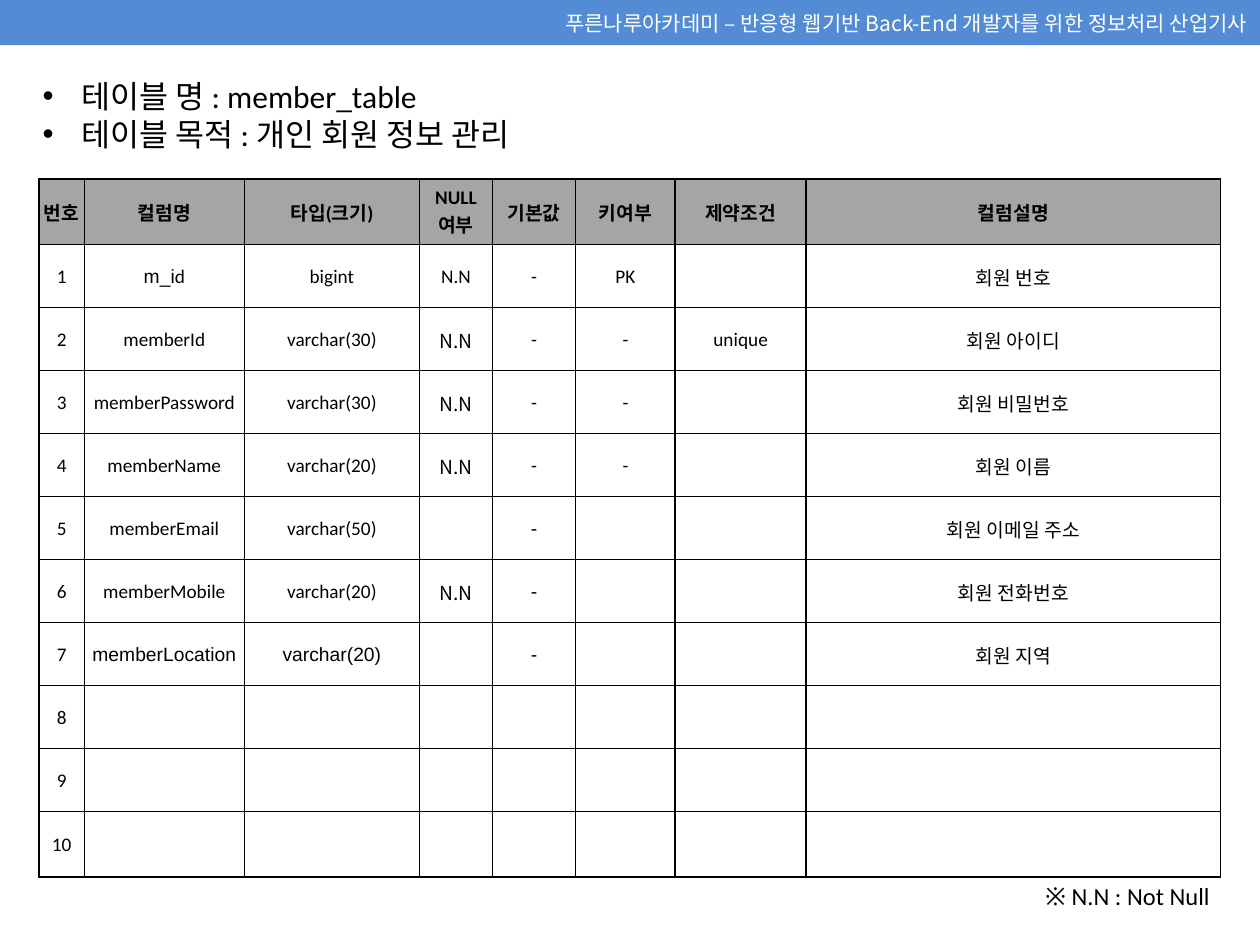
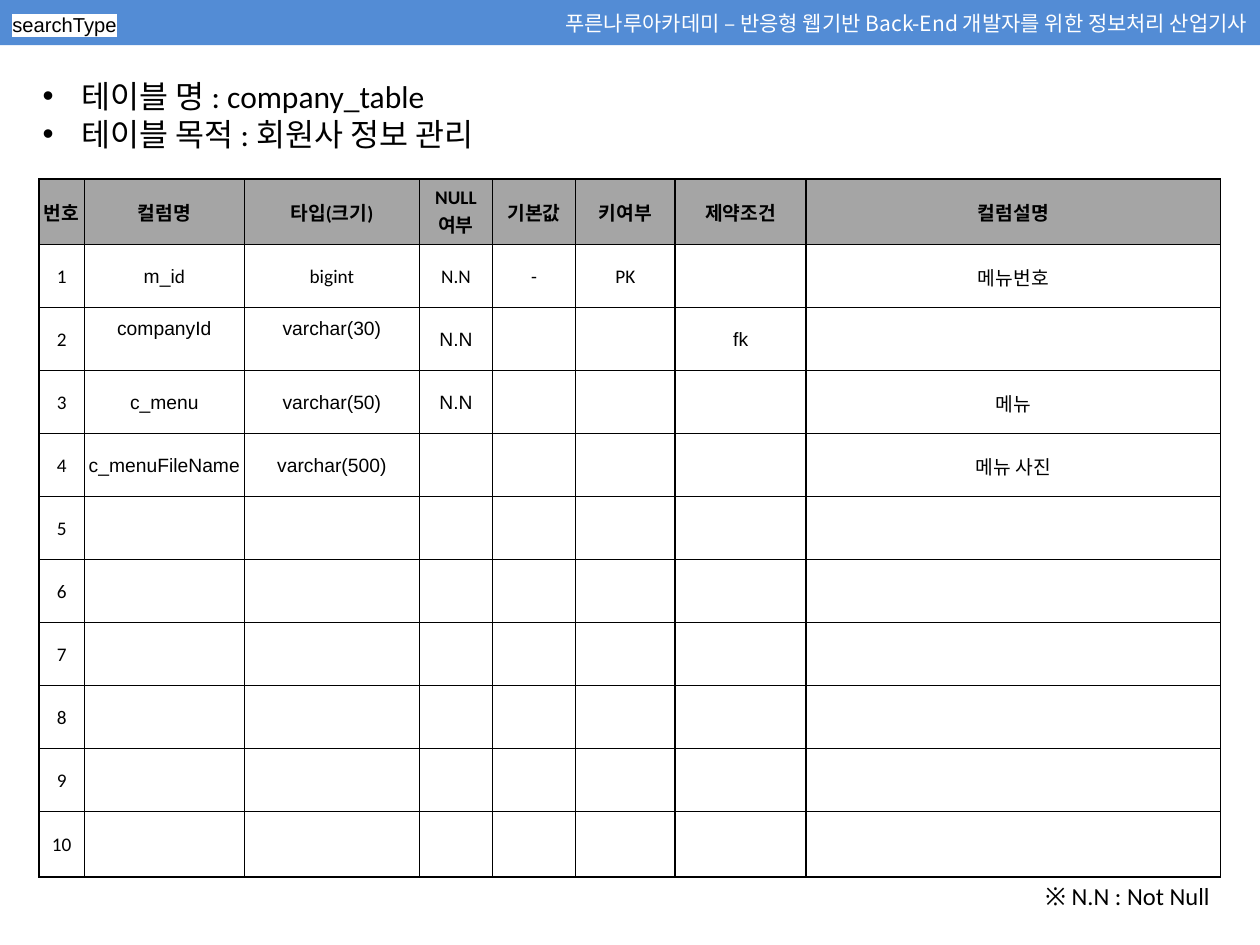
from dataclasses import dataclass
from typing import NamedTuple

from lxml import etree
from pptx import Presentation
from pptx.dml.color import RGBColor
from pptx.enum.shapes import MSO_SHAPE
from pptx.enum.text import MSO_ANCHOR, MSO_AUTO_SIZE, PP_ALIGN
from pptx.oxml.ns import qn
from pptx.util import Inches, Pt

BLUE = RGBColor(0x53, 0x8C, 0xD5)
GRAY = RGBColor(0xA5, 0xA5, 0xA5)
WHITE = RGBColor(0xFF, 0xFF, 0xFF)
BLACK = RGBColor(0, 0, 0)

LEFT, CENTER, RIGHT = PP_ALIGN.LEFT, PP_ALIGN.CENTER, PP_ALIGN.RIGHT
MIDDLE = MSO_ANCHOR.MIDDLE
GROW = MSO_AUTO_SIZE.SHAPE_TO_FIT_TEXT
RECTANGLE = MSO_SHAPE.RECTANGLE

CALIBRI, ARIAL, NOTO = "Calibri", "Arial", "Noto Sans CJK KR"

BAND_TEXT = "푸른나루아카데미 – 반응형 웹기반 Back-End 개발자를 위한 정보처리 산업기사"
NOTE_TEXT = "※ N.N : Not Null"
HEADERS = ["번호", "컬럼명", "타입(크기)", "NULL 여부",
           "기본값", "키여부", "제약조건", "컬럼설명"]
COL_WIDTHS = [0.36, 1.27, 1.39, 0.58, 0.66, 0.79, 1.04, 3.29]
ROW_COUNT = 10
ROW_HEIGHTS = [0.52] + [0.5] * (ROW_COUNT - 1) + [0.52]


class Run(NamedTuple):
    text: str
    font: str = CALIBRI


@dataclass
class Cell:
    runs: list[Run]
    bottom: float = 0.0


@dataclass
class TableSpec:
    name: str
    purpose: str
    rows: list[list[str | Cell]]
    tag: str = ""


def arial(text: str, bottom: float = 0.0) -> Cell:
    return Cell([Run(text, ARIAL)], bottom)


NN = Cell([Run("N.N", NOTO)])
DASH = arial("-")
M_ID = Cell([Run("m_i", ARIAL), Run("d")])
RAISED = 0.17  # bottom margin that lifts a cell's text

# Each row: column name, type, null, default, key, constraint, description
MEMBER = TableSpec("member_table", "개인 회원 정보 관리", [
    [M_ID, "bigint", "N.N", "-", "PK", "", "회원 번호"],
    ["memberId", "varchar(30)", NN, "-", "-", "unique", "회원 아이디"],
    ["memberPassword", "varchar(30)", NN, "-", "-", "", "회원 비밀번호"],
    ["memberName", "varchar(20)", NN, "-", "-", "", "회원 이름"],
    ["memberEmail", "varchar(50)", "", DASH, "", "", "회원 이메일 주소"],
    ["memberMobile", "varchar(20)", NN, DASH, "", "", "회원 전화번호"],
    [arial("memberLocation"), arial("varchar(20)"), "", DASH, "", "",
     arial("회원 지역")],
])
COMPANY = TableSpec("company_table", "회원사 정보 관리", [
    [M_ID, "bigint", "N.N", "-", "PK", "", arial("메뉴번호")],
    [arial("companyId", RAISED), arial("varchar(30)", RAISED), arial("N.N"),
     "", "", arial("fk"), ""],
    [arial("c_menu"), arial("varchar(50)"), arial("N.N"), "", "", "",
     arial("메뉴")],
    [arial("c_menuFileName"), arial("varchar(500)"), "", "", "", "",
     arial("메뉴 사진")],
], tag="searchType")


def style_run(r, size: float, font: str, color: RGBColor = BLACK,
              bold: bool = False) -> None:
    r.font.size = Pt(size)
    r.font.bold = bold
    r.font.color.rgb = color
    r.font.name = font
    etree.SubElement(r._r.get_or_add_rPr(), qn("a:ea"), typeface=NOTO)


def add_text(slide, box: tuple, lines: list[str], size: float,
             font: str = CALIBRI, align=LEFT, inset: float = 0.05):
    sp = slide.shapes.add_textbox(*map(Inches, box))
    tf = sp.text_frame
    tf.word_wrap = True
    tf.auto_size = GROW
    tf.margin_top = tf.margin_bottom = Inches(inset)
    tf.text = "\n".join(lines)
    for p in tf.paragraphs:
        p.alignment = align
        style_run(p.runs[0], size, font)
    return tf


def add_bullet(p) -> None:
    pPr = p._p.get_or_add_pPr()
    pPr.set("marL", str(Inches(0.31)))
    pPr.set("indent", str(-Inches(0.31)))
    color = etree.SubElement(pPr, qn("a:buClr"))
    etree.SubElement(color, qn("a:srgbClr"), val=str(BLACK))
    etree.SubElement(pPr, qn("a:buFont"), typeface=ARIAL)
    etree.SubElement(pPr, qn("a:buChar"), char="•")


def add_highlight(r, color: RGBColor) -> None:
    mark = etree.Element(qn("a:highlight"))
    etree.SubElement(mark, qn("a:srgbClr"), val=str(color))
    r._r.get_or_add_rPr().find(qn("a:solidFill")).addnext(mark)


def add_band(slide) -> None:
    sp = slide.shapes.add_shape(RECTANGLE, 0, 0, Inches(10), Inches(0.36))
    sp.shadow.inherit = False
    sp.fill.solid()
    sp.fill.fore_color.rgb = BLUE
    sp.line.fill.background()
    tf = sp.text_frame
    tf.vertical_anchor = MIDDLE
    tf.text = BAND_TEXT
    p = tf.paragraphs[0]
    p.alignment = RIGHT
    style_run(p.runs[0], 12, NOTO, WHITE)


def add_borders(cell) -> None:
    tcPr = cell._tc.get_or_add_tcPr()
    for side in ("lnL", "lnR", "lnT", "lnB"):
        ln = etree.SubElement(tcPr, qn(f"a:{side}"), w=str(Pt(1)))
        fill = etree.SubElement(ln, qn("a:solidFill"))
        etree.SubElement(fill, qn("a:srgbClr"), val=str(BLACK))


def fill_cell(cell, content: str | Cell, header: bool) -> None:
    if isinstance(content, str):
        content = Cell([Run(content)] if content else [])
    cell.vertical_anchor = MIDDLE
    cell.margin_left = cell.margin_right = cell.margin_top = Inches(0.01)
    cell.margin_bottom = Inches(content.bottom)
    add_borders(cell)
    if header:
        cell.fill.solid()
        cell.fill.fore_color.rgb = GRAY
    else:
        cell.fill.background()
    p = cell.text_frame.paragraphs[0]
    p.alignment = CENTER
    for text, font in content.runs:
        r = p.add_run()
        r.text = text
        style_run(r, 11, font, bold=header)


def add_column_table(slide, rows: list[list[str | Cell]]) -> None:
    frame = slide.shapes.add_table(
        ROW_COUNT + 1, len(HEADERS), Inches(0.31), Inches(1.42),
        Inches(sum(COL_WIDTHS)), Inches(sum(ROW_HEIGHTS)))
    table = frame.table
    table.first_row = table.horz_banding = False
    for column, width in zip(table.columns, COL_WIDTHS):
        column.width = Inches(width)
    for row, height in zip(table.rows, ROW_HEIGHTS):
        row.height = Inches(height)

    # Unused rows keep their number and stay empty
    blank = [""] * (len(HEADERS) - 1)
    padded = rows + [blank] * (ROW_COUNT - len(rows))
    grid = [HEADERS] + [[str(n), *row] for n, row in enumerate(padded, 1)]
    for i, row in enumerate(grid):
        for j, content in enumerate(row):
            fill_cell(table.cell(i, j), content, header=i == 0)


def add_table_slide(prs, spec: TableSpec) -> None:
    slide = prs.slides.add_slide(prs.slide_layouts[6])
    add_band(slide)

    # Table name and purpose
    lines = [f"테이블 명 : {spec.name}", f"테이블 목적 : {spec.purpose}"]
    tf = add_text(slide, (0.24, 0.56, 9.49, 0.71), lines, 18)
    for p in tf.paragraphs:
        add_bullet(p)

    add_column_table(slide, spec.rows)
    add_text(slide, (8.15, 6.94, 1.55, 0.34), [NOTE_TEXT], 14, align=RIGHT)

    # Highlighted tag over the band
    if spec.tag:
        tf = add_text(slide, (0, 0, 3.28, 0.4), [spec.tag], 11.5, ARIAL,
                      inset=0.1)
        add_highlight(tf.paragraphs[0].runs[0], WHITE)


prs = Presentation()
prs.slide_width, prs.slide_height = Inches(10), Inches(7.5)
for spec in (MEMBER, COMPANY):
    add_table_slide(prs, spec)
prs.save("out.pptx")
